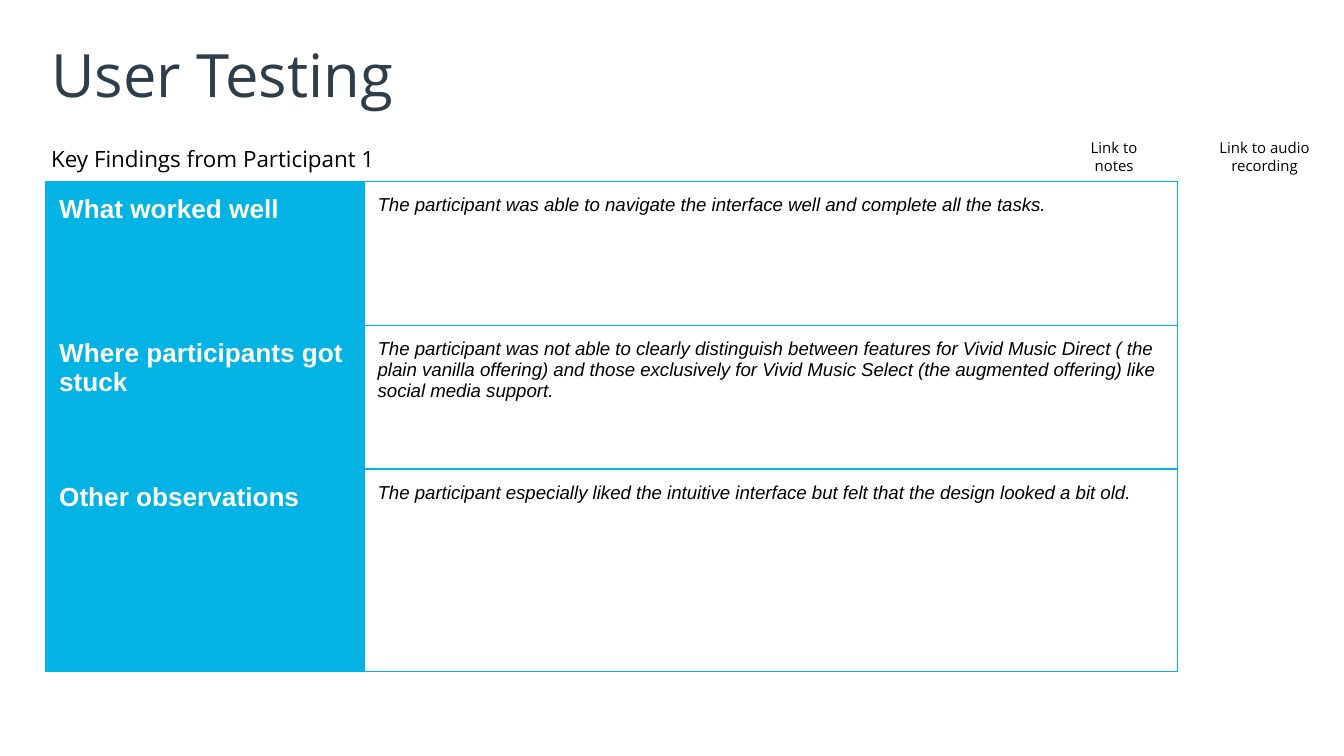
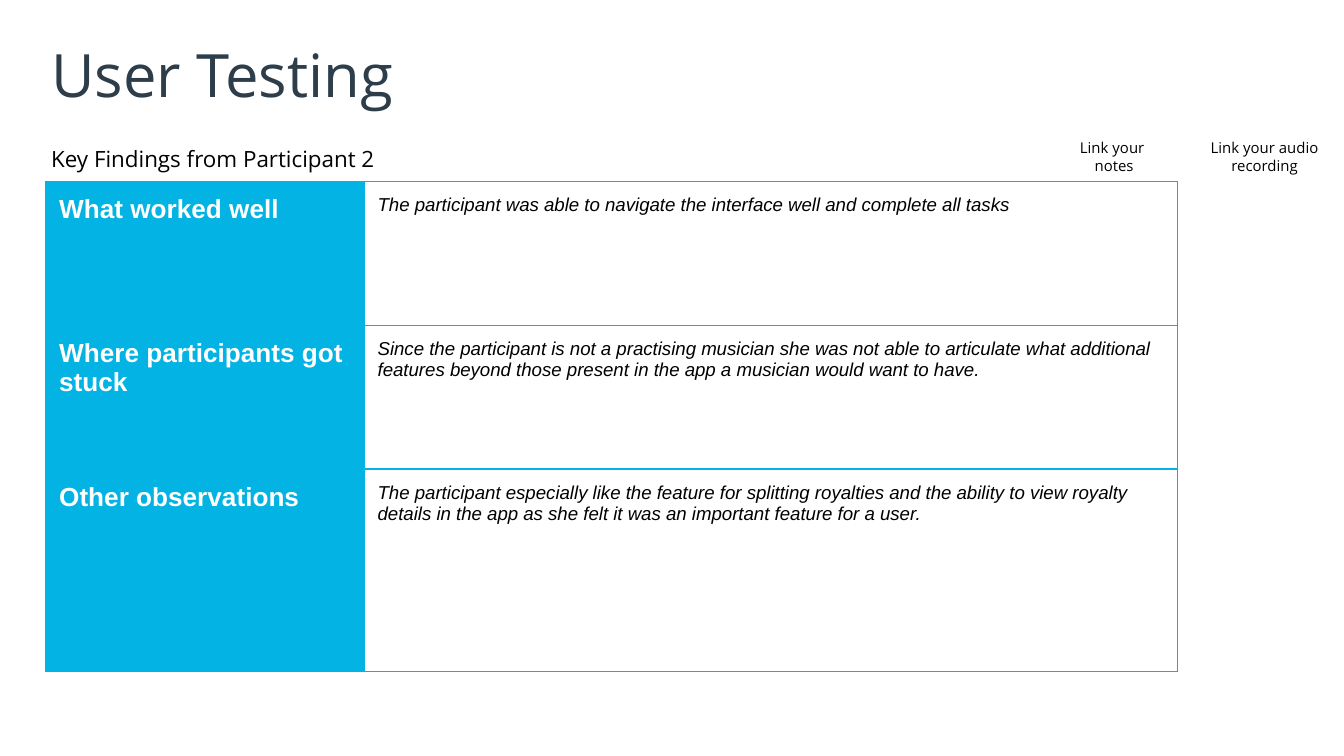
from lxml import etree
from pptx import Presentation
from pptx.dml.color import RGBColor
from pptx.enum.text import MSO_ANCHOR, PP_ALIGN
from pptx.oxml.ns import qn
from pptx.util import Inches, Pt

LEFT, CENTER = PP_ALIGN.LEFT, PP_ALIGN.CENTER
TOP, MIDDLE = MSO_ANCHOR.TOP, MSO_ANCHOR.MIDDLE

CYAN, SLATE, BLACK, WHITE = "02B3E4", "2D3D4A", "000000", "FFFFFF"
HEAD_FONT, TABLE_FONT = "Open Sans", "Arial"
PLAIN_TABLE_STYLE = "{2D5ABB26-0587-4C30-8999-92F81FD0307C}"

TITLE = "User Testing"
TOPICS = ["What worked well", "Where participants got stuck", "Other observations"]
PARTICIPANTS = [
    {
        "heading": "Key Findings from Participant 1",
        "notes": "Link to\nnotes",
        "audio": "Link to audio recording",
        "findings": [
            "The participant was able to navigate the interface well and complete all the tasks.",
            "The participant was not able to clearly distinguish between features for "
            "Vivid Music Direct ( the plain vanilla offering) and those exclusively for "
            "Vivid Music Select (the augmented offering) like social media support.",
            "The participant especially liked the intuitive interface but felt that "
            "the design looked a bit old.",
        ],
    },
    {
        "heading": "Key Findings from Participant 2",
        "notes": "Link your \nnotes",
        "audio": "Link your audio recording",
        "findings": [
            "The participant was able to navigate the interface well and complete all tasks",
            "Since the participant is not a practising musician she was not able to "
            "articulate what additional features beyond those present in the app a "
            "musician would want to have.",
            "The participant especially like the feature for splitting royalties and the "
            "ability to view royalty details in the app as she felt it was an important "
            "feature for a user.",
        ],
    },
]

MARGIN, TEXT_W = 0.34, 9.32
LINK_TOP, LINK_W, LINK_H = 0.93, 1.1, 0.48
TABLE_TOP = 1.35
COLUMNS = [2.37, 6.05]
ROWS = [1.07, 1.07, 1.51]


def rgb(value):
    return RGBColor.from_string(value)


def style(p, size, color, font, bold=False, italic=False):
    p.font.size, p.font.name = Pt(size), font
    p.font.bold, p.font.italic = bold, italic
    p.font.color.rgb = rgb(color)


def set_insets(target, inset):
    """Give a text frame or a table cell the same margin on every side."""
    target.margin_left = target.margin_right = Inches(inset)
    target.margin_top = target.margin_bottom = Inches(inset)


def add_text(s, box, text, size, color=BLACK, inset=0.04, align=LEFT, anchor=TOP):
    tf = s.shapes.add_textbox(*map(Inches, box)).text_frame
    tf.word_wrap = True
    tf.vertical_anchor = anchor
    set_insets(tf, inset)
    tf.text = text
    for p in tf.paragraphs:
        p.alignment = align
        style(p, size, color, HEAD_FONT)
    return tf


def set_borders(cell, color, width):
    tc_pr = cell._tc.get_or_add_tcPr()
    for i, side in enumerate("LRTB"):
        ln = etree.Element(qn(f"a:ln{side}"), w=str(Pt(width)))
        fill = etree.SubElement(ln, qn("a:solidFill"))
        etree.SubElement(fill, qn("a:srgbClr"), val=color)
        etree.SubElement(ln, qn("a:prstDash"), val="solid")
        tc_pr.insert(i, ln)


def fill_cell(cell, text, is_topic):
    cell.text = text
    set_insets(cell, 0.1)
    p = cell.text_frame.paragraphs[0]
    if is_topic:
        cell.fill.solid()
        cell.fill.fore_color.rgb = rgb(CYAN)
        style(p, 14, WHITE, TABLE_FONT, bold=True)
    else:
        cell.fill.background()
        style(p, 10, BLACK, TABLE_FONT, italic=True)
    set_borders(cell, CYAN, 0.75)


def add_findings(s, findings):
    frame = s.shapes.add_table(
        len(ROWS), len(COLUMNS), Inches(MARGIN), Inches(TABLE_TOP),
        Inches(sum(COLUMNS)), Inches(sum(ROWS)))
    table = frame.table
    table.first_row = table.horz_banding = False
    table._tbl.tblPr.find(qn("a:tableStyleId")).text = PLAIN_TABLE_STYLE
    for column, width in zip(table.columns, COLUMNS):
        column.width = Inches(width)
    for i, (height, topic, finding) in enumerate(zip(ROWS, TOPICS, findings)):
        table.rows[i].height = Inches(height)
        fill_cell(table.cell(i, 0), topic, True)
        fill_cell(table.cell(i, 1), finding, False)


def add_participant(prs, participant):
    s = prs.slides.add_slide(prs.slide_layouts[6])
    add_text(s, (MARGIN, 0.23, TEXT_W, 0.63), TITLE, 32, SLATE, anchor=MIDDLE)
    heading = add_text(s, (MARGIN, 1.01, TEXT_W, 0.34), participant["heading"], 12)
    heading.paragraphs[0].line_spacing = 1.15
    for left, key in ((8.86, "audio"), (7.74, "notes")):
        add_text(s, (left, LINK_TOP, LINK_W, LINK_H), participant[key], 8,
                 inset=0.1, align=CENTER)
    add_findings(s, participant["findings"])


def main():
    prs = Presentation()
    prs.slide_width = Inches(10)
    prs.slide_height = prs.slide_width * 9 // 16
    for participant in PARTICIPANTS:
        add_participant(prs, participant)
    prs.save("out.pptx")


if __name__ == "__main__":
    main()
